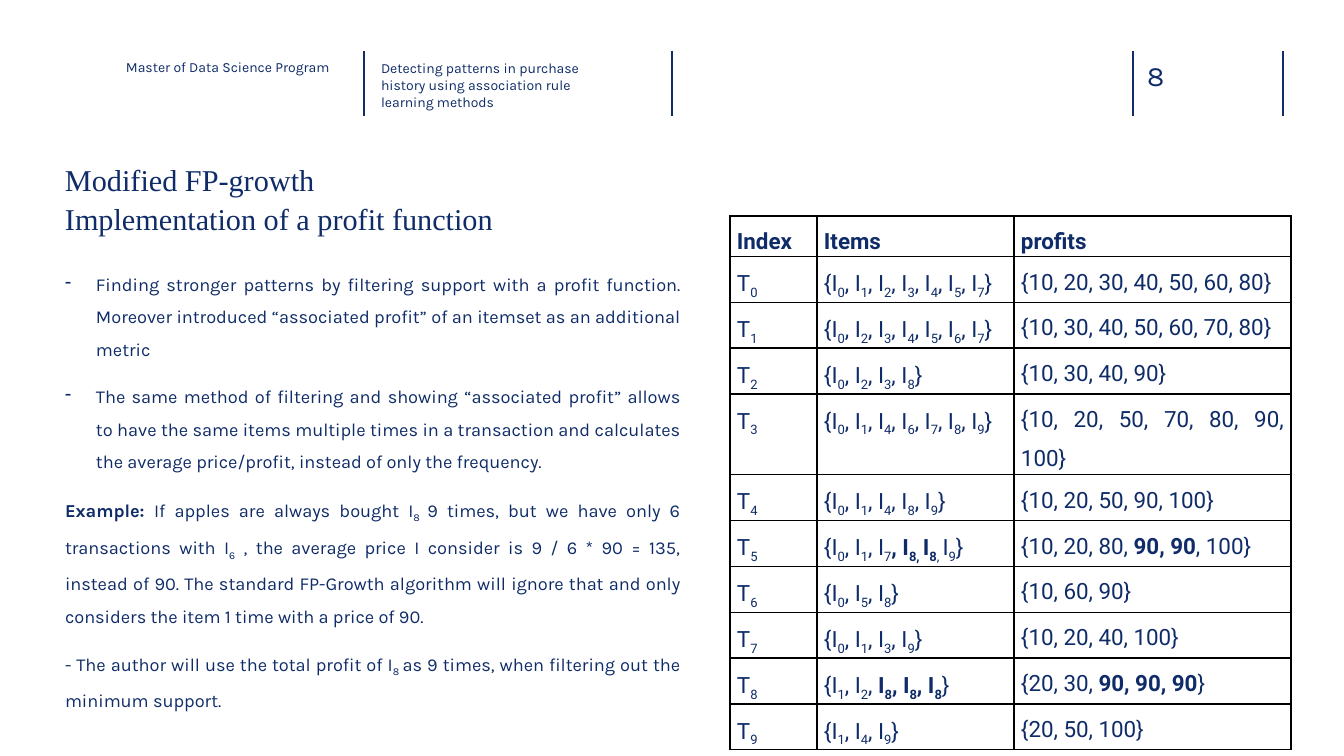
"""Build the slide on modified FP-growth with its transaction table."""
from dataclasses import dataclass

from lxml import etree
from pptx import Presentation
from pptx import util as u
from pptx.dml.color import RGBColor
from pptx.enum import shapes, text
from pptx.oxml.ns import qn

PX = 914400 / 100.8


@dataclass(frozen=True)
class Theme:
    navy: str = "0F2C68"
    rule: str = "102D69"
    border: str = "000000"
    title_font: str = "Times New Roman"
    body_font: str = "Karla"
    table_font: str = "Roboto"
    title: float = 21.6
    number: float = 20
    cell: float = 16
    body: float = 13
    header: float = 10


T = Theme()

BULLETS = [
    "Finding stronger patterns by filtering support with a profit function. Moreover introduced "
    "“associated profit” of an itemset as an additional metric",
    "The same method of filtering and showing “associated profit” allows to have the same items "
    "multiple times in a transaction and calculates the average price/profit, instead of only "
    "the frequency. ",
]
NOTES = [
    "**Example: **If apples are always bought I~8 ~9 times, but we have only 6 transactions with "
    "I~6~ , the average price I consider is 9 / 6 * 90 = 135, instead of 90. The standard "
    "FP-Growth algorithm will ignore that and only considers the item 1 time with a price of 90.",
    "- The author will use the total profit of I~8 ~as 9 times, when filtering out the "
    "minimum support.",
]


def itemset(digits):
    return "{" + ", ".join(f"I~{d}~" for d in digits) + "}"


TRANSACTIONS = [
    (itemset("0123457"), "{10, 20, 30, 40, 50, 60, 80}"),
    (itemset("0234567"), "{10, 30, 40, 50, 60, 70, 80}"),
    (itemset("0238"), "{10, 30, 40, 90}"),
    (itemset("0146789"), "{10, 20, 50, 70, 80, 90, 100}"),
    (itemset("01489"), "{10, 20, 50, 90, 100}"),
    ("{I~0~, I~1~, I~7~**, I~8, ~I~8**, ~I~9~}", "{10, 20, 80, **90, 90**, 100}"),
    (itemset("058"), "{10, 60, 90}"),
    (itemset("0139"), "{10, 20, 40, 100}"),
    ("{I~1~, I~2~, **I~8~, I~8~, I~8**~}", "{20, 30, **90, 90, 90**}"),
    (itemset("149"), "{20, 50, 100}"),
]


def px(n):
    return u.Emu(round(n * PX))


def write(p, content, size, font=T.body_font, justify=False, spacing=None, before=0):
    """Fill a paragraph; ** toggles bold and ~ toggles subscript."""
    p.alignment = text.PP_ALIGN.JUSTIFY if justify else text.PP_ALIGN.LEFT
    p.space_before = u.Pt(before)
    if spacing:
        p.line_spacing = spacing
    bold = False
    for i, part in enumerate(content.split("~")):
        for j, piece in enumerate(part.split("**")):
            if j:
                bold = not bold
            if not piece:
                continue
            r = p.add_run()
            r.text = piece
            r.font.size, r.font.name, r.font.bold = u.Pt(size), font, bold
            r.font.color.rgb = RGBColor.from_string(T.navy)
            if i % 2:
                r.font._element.set("baseline", "-25000")


def add_text(s, x, y, w, h, bottom=0):
    tf = s.shapes.add_textbox(px(x), px(y), px(w), px(h)).text_frame
    tf.word_wrap = True
    tf.margin_left = tf.margin_top = tf.margin_right = 0
    tf.margin_bottom = px(bottom)
    return tf


def add_rule(s, x, top=51, bottom=116):
    c = s.shapes.add_connector(shapes.MSO_CONNECTOR.STRAIGHT, px(x), px(top), px(x), px(bottom))
    c.line.color.rgb = RGBColor.from_string(T.rule)
    c.line.width = u.Pt(1)
    etree.SubElement(c._element.spPr, qn("a:effectLst"))


def add_header(s):
    for x in (364, 672, 1133, 1283):
        add_rule(s, x)
    write(add_text(s, 1147, 58, 74, 34).paragraphs[0], "8", T.number)
    write(add_text(s, 126, 59, 210, 45).paragraphs[0], "Master of Data Science Program", T.header)
    write(add_text(s, 381, 60, 228, 45).paragraphs[0],
          "Detecting patterns in purchase history using association rule learning methods",
          T.header)


def add_title(s):
    tf = add_text(s, 65, 159, 1225, 86)
    for i, line in enumerate(("Modified FP-growth", "Implementation of a profit function")):
        p = tf.add_paragraph() if i else tf.paragraphs[0]
        write(p, line, T.title, font=T.title_font, spacing=1.07)


def add_dash(p, indent=31):
    pPr = p._p.get_or_add_pPr()
    pPr.set("marL", str(px(indent)))
    pPr.set("indent", str(px(-indent)))
    etree.SubElement(pPr, qn("a:buChar")).set("char", "-")


def add_body(s):
    tf = add_text(s, 65, 262, 615, 417, bottom=5)
    for i, content in enumerate(BULLETS + NOTES):
        p = tf.add_paragraph() if i else tf.paragraphs[0]
        write(p, content, T.body, justify=True, spacing=1.5, before=10)
        if content in BULLETS:
            add_dash(p)


def set_borders(cell):
    tcPr = cell._tc.get_or_add_tcPr()
    for i, side in enumerate(("lnL", "lnR", "lnT", "lnB")):
        ln = etree.Element(qn(f"a:{side}"), w=str(u.Pt(1)))
        fill = etree.SubElement(ln, qn("a:solidFill"))
        etree.SubElement(fill, qn("a:srgbClr")).set("val", T.border)
        tcPr.insert(i, ln)


def add_table(s, x, y, widths, row_height, rows):
    frame = s.shapes.add_table(len(rows), len(widths), px(x), px(y),
                               px(sum(widths)), px(row_height * len(rows)))
    table = frame.table
    table.first_row = table.horz_banding = False
    for col, w in zip(table.columns, widths):
        col.width = px(w)
    for row, contents in zip(table.rows, rows):
        row.height = px(row_height)
        for cell, content in zip(row.cells, contents):
            cell.margin_left = cell.margin_right = px(7)
            cell.margin_top = cell.margin_bottom = 0
            cell.fill.background()
            set_borders(cell)
            write(cell.text_frame.paragraphs[0], content, T.cell, font=T.table_font,
                  justify=True, spacing=1.5)


def main():
    prs = Presentation()
    prs.slide_width, prs.slide_height = px(1344), px(756)
    s = prs.slides.add_slide(prs.slide_layouts[6])
    add_header(s)
    add_title(s)
    add_body(s)
    heads = [("**Index**", "**Items**", "**profits**")]
    rows = [(f"T~{i}~", *pair) for i, pair in enumerate(TRANSACTIONS)]
    add_table(s, 730, 216, (87, 197, 277), 30, heads + rows)
    prs.save("out.pptx")


if __name__ == "__main__":
    main()
